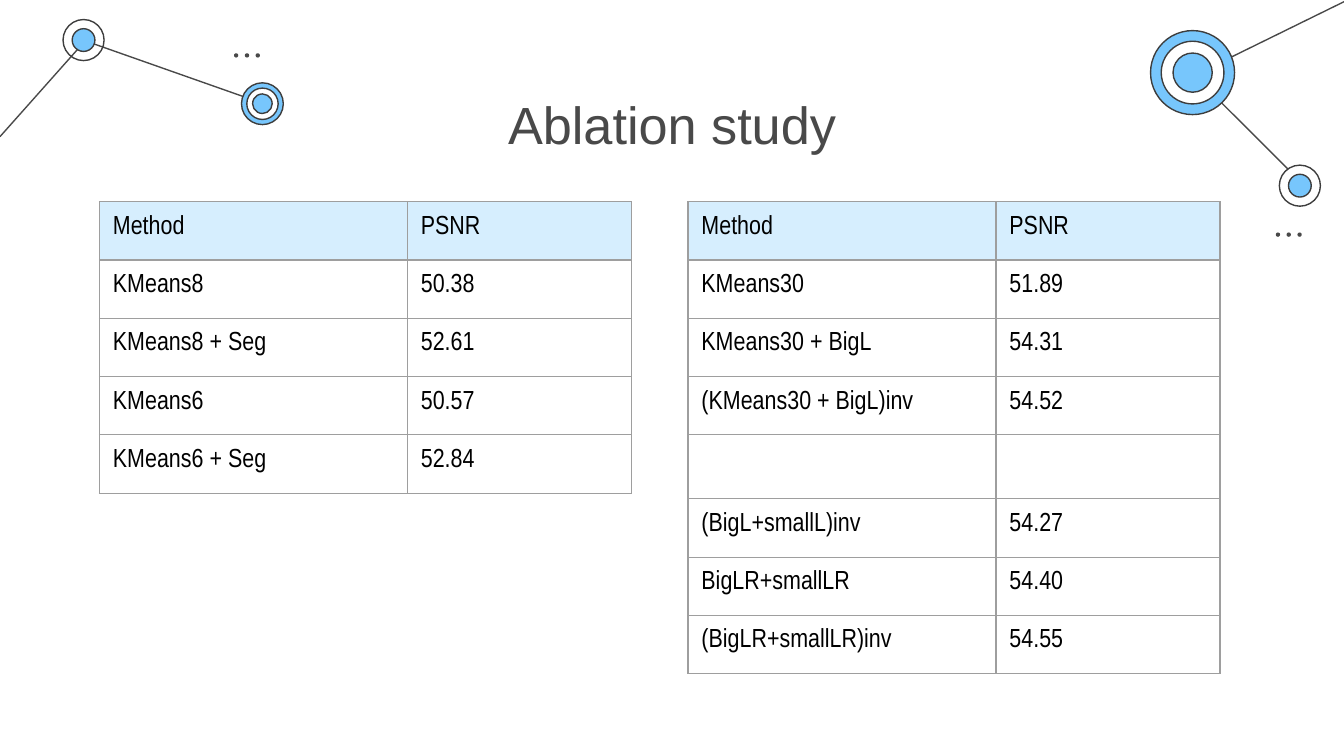
from lxml import etree
from pptx import Presentation
from pptx.dml.color import RGBColor
from pptx.enum.shapes import MSO_CONNECTOR, MSO_SHAPE
from pptx.enum.text import MSO_ANCHOR, PP_ALIGN
from pptx.oxml.ns import qn
from pptx.util import Pt

STRAIGHT = MSO_CONNECTOR.STRAIGHT
OVAL = MSO_SHAPE.OVAL
TOP = MSO_ANCHOR.TOP
CENTER = PP_ALIGN.CENTER

COLORS = {
    "white": "FFFFFF",
    "black": "000000",
    "ink": "494949",
    "outline": "3D3D3D",
    "blue": "77C6FC",
    "header": "D6EEFE",
    "border": "9E9E9E",
}
LINE_WIDTH = 0.75
COLUMN_WIDTHS = (165, 120)
ROW_HEIGHT = 30
GAP_ROW_HEIGHT = 34.3
BLUE_DOT = ((22, None), (12.2, "blue"))
WHITE_DOT = ((22, "white"), (12.2, "blue"))
SMALL_TARGET = ((22.4, "blue"), (16.8, "white"), (10.5, "blue"))
LARGE_TARGET = ((45, "blue"), (33.6, "white"), (21, "blue"))

KMEANS_ROWS = (
    ("Method", "PSNR"),
    ("KMeans8", "50.38"),
    ("KMeans8 + Seg", "52.61"),
    ("KMeans6", "50.57"),
    ("KMeans6 + Seg", "52.84"),
)
BIG_ROWS = (
    ("Method", "PSNR"),
    ("KMeans30", "51.89"),
    ("KMeans30 + BigL", "54.31"),
    ("(KMeans30 + BigL)inv", "54.52"),
    ("", ""),
    ("(BigL+smallL)inv", "54.27"),
    ("BigLR+smallLR", "54.40"),
    ("(BigLR+smallLR)inv", "54.55"),
)


def color(name):
    return RGBColor.from_string(COLORS[name])


def add_link(page, start, end):
    link = page.shapes.add_connector(STRAIGHT, *(Pt(value) for value in start + end))
    link.line.color.rgb = color("ink")
    link.line.width = Pt(LINE_WIDTH)
    etree.SubElement(link._element.spPr, qn("a:effectLst"))


def add_circle(page, center, diameter, fill, outline=None):
    x, y = center
    circle = page.shapes.add_shape(
        OVAL, Pt(x - diameter / 2), Pt(y - diameter / 2), Pt(diameter), Pt(diameter))
    circle.shadow.inherit = False
    if fill:
        circle.fill.solid()
        circle.fill.fore_color.rgb = color(fill)
    else:
        circle.fill.background()
    if outline:
        circle.line.color.rgb = color(outline)
        circle.line.width = Pt(LINE_WIDTH)
    else:
        circle.line.fill.background()


def add_network(page, left, top, links, nodes, dots):
    def place(point):
        return left + point[0], top + point[1]

    for start, end in links:
        add_link(page, place(start), place(end))
    for center, rings in nodes:
        for diameter, fill in rings:
            add_circle(page, place(center), diameter, fill, "outline")
    x, y = place(dots)
    for index in range(3):
        add_circle(page, (x + index * 5.8, y), 2.3, "ink")


def add_title(page, left, top, width, height, text):
    box = page.shapes.add_textbox(Pt(left), Pt(top), Pt(width), Pt(height))
    frame = box.text_frame
    frame.word_wrap = True
    frame.vertical_anchor = TOP
    frame.margin_left = frame.margin_right = Pt(7.2)
    frame.margin_top = frame.margin_bottom = Pt(7.2)
    frame.text = text
    para = frame.paragraphs[0]
    para.alignment = CENTER
    span = para.runs[0]
    span.font.size = Pt(28)
    span.font.name = "Arial"
    span.font.color.rgb = color("ink")


def add_borders(cell):
    properties = cell._tc.get_or_add_tcPr()
    for index, side in enumerate(("lnL", "lnR", "lnT", "lnB")):
        border = etree.Element(qn(f"a:{side}"), w=str(Pt(LINE_WIDTH)))
        fill = etree.SubElement(border, qn("a:solidFill"))
        etree.SubElement(fill, qn("a:srgbClr"), val=COLORS["border"])
        properties.insert(index, border)


def fill_cell(cell, text, is_header):
    if is_header:
        cell.fill.solid()
        cell.fill.fore_color.rgb = color("header")
    else:
        cell.fill.background()
    add_borders(cell)
    if not text:
        return
    cell.margin_left = cell.margin_right = Pt(7.2)
    cell.margin_top = cell.margin_bottom = Pt(7.2)
    cell.text_frame.text = text
    font = cell.text_frame.paragraphs[0].runs[0].font
    font.size = Pt(14)
    font.name = "Arial Narrow"
    font.color.rgb = color("black")


def add_results(page, left, top, rows, last_height=ROW_HEIGHT):
    heights = [ROW_HEIGHT if row[0] else GAP_ROW_HEIGHT for row in rows]
    heights[-1] = last_height
    table = page.shapes.add_table(
        len(rows), len(COLUMN_WIDTHS), Pt(left), Pt(top),
        Pt(sum(COLUMN_WIDTHS)), Pt(sum(heights))).table
    table.first_row = False
    table.horz_banding = False
    for column, width in zip(table.columns, COLUMN_WIDTHS):
        column.width = Pt(width)
    for row_index, values in enumerate(rows):
        table.rows[row_index].height = Pt(heights[row_index])
        for column_index, value in enumerate(values):
            fill_cell(table.cell(row_index, column_index), value, row_index == 0)


def main():
    deck = Presentation()
    deck.slide_width = Pt(720)
    deck.slide_height = Pt(405)
    page = deck.slides.add_slide(deck.slide_layouts[6])

    add_network(
        page, 0, 0,
        links=(((46, 22), (141, 55.5)), ((0, 73.2), (46, 21.5))),
        nodes=(((44.8, 21.5), BLUE_DOT), ((140.6, 55.6), SMALL_TARGET)),
        dots=(126.5, 29.7))
    add_network(
        page, 610, 0,
        links=(((86.4, 97), (28.8, 39.5)), ((110.5, 0.7), (31.5, 39.5))),
        nodes=(((28.9, 38.9), LARGE_TARGET), ((86.4, 99.5), WHITE_DOT)),
        dots=(74.6, 125.7))
    add_title(page, 57, 42, 606, 45, "Ablation study")
    add_results(page, 368.6, 108, BIG_ROWS)
    add_results(page, 53.3, 108, KMEANS_ROWS, last_height=8)

    deck.save("out.pptx")


if __name__ == "__main__":
    main()
